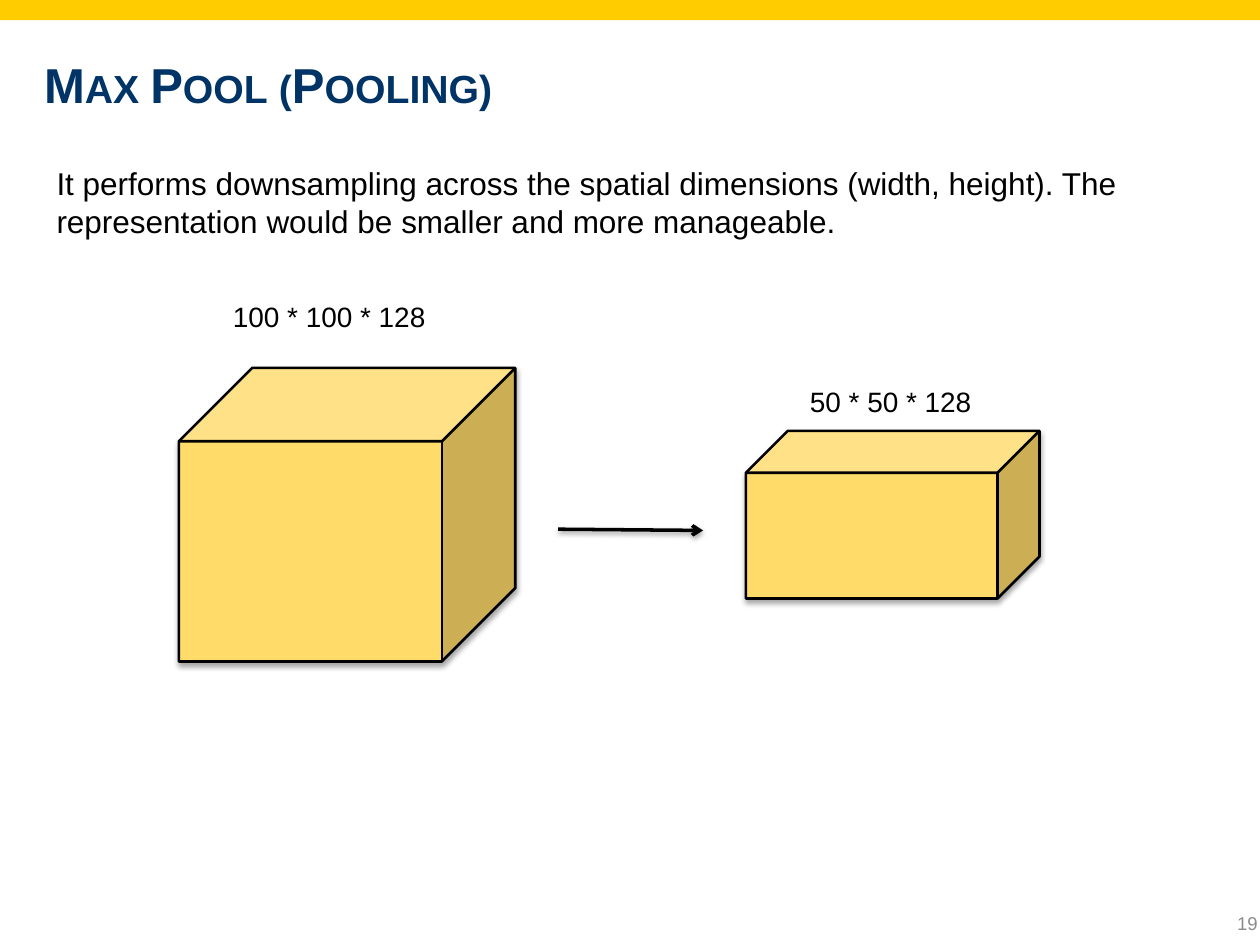
from lxml import etree
from pptx import Presentation
from pptx.dml.color import RGBColor
from pptx.enum import shapes, text
from pptx.oxml import ns
from pptx.util import Inches, Pt


def color(code):
    return RGBColor.from_string(code)


def inches(*sizes):
    return [Inches(size) for size in sizes]


class Deck:
    face = "Arial"
    ink = "000000"
    navy = "003366"
    gold = "FFCC00"
    sand = "FFDB69"
    gray = "8C8C8C"

    def __init__(self):
        self.file = Presentation()
        self.file.slide_width, self.file.slide_height = inches(10, 7.5)
        self.slide = self.file.slides.add_slide(self.file.slide_layouts[5])

    def style(self, para, size, code, bold=False, align=text.PP_ALIGN.LEFT):
        para.alignment = align
        font = para.font
        font.name, font.size, font.bold = self.face, Pt(size), bold
        font.color.rgb = color(code)

    def title(self, words, box):
        shape = self.slide.shapes.title
        shape.left, shape.top, shape.width, shape.height = inches(*box)
        frame = shape.text_frame
        frame.text = words
        frame.vertical_anchor = text.MSO_ANCHOR.MIDDLE
        para = frame.paragraphs[0]
        self.style(para, 28, self.navy, True)
        para.runs[0]._r.get_or_add_rPr().set("cap", "small")

    def label(self, words, box, size, code=ink, wrap=True, align=text.PP_ALIGN.LEFT):
        frame = self.slide.shapes.add_textbox(*inches(*box)).text_frame
        frame.text = words
        frame.word_wrap = wrap
        self.style(frame.paragraphs[0], size, code, align=align)

    def solid(self, kind, box, fill):
        shape = self.slide.shapes.add_shape(kind, *inches(*box))
        shape.shadow.inherit = False
        shape.fill.solid()
        shape.fill.fore_color.rgb = color(fill)
        return shape

    def band(self, box):
        shape = self.solid(shapes.MSO_SHAPE.RECTANGLE, box, self.gold)
        shape.line.fill.background()

    def cube(self, box):
        shape = self.solid(shapes.MSO_SHAPE.CUBE, box, self.sand)
        shape.line.color.rgb = color(self.ink)
        shape.line.width = Pt(1.5)
        self.shade(shape, 35, 1.8)

    def arrow(self, start, end):
        line = self.slide.shapes.add_connector(
            shapes.MSO_CONNECTOR.STRAIGHT, *inches(*start, *end))
        line.line.color.rgb = color(self.ink)
        line.line.width = Pt(2)
        etree.SubElement(line.line._get_or_add_ln(), ns.qn("a:tailEnd"), type="arrow")
        self.shade(line, 38, 1.6)

    def shade(self, shape, alpha, drop):
        props = shape._element.spPr
        effects = props.find(ns.qn("a:effectLst"))
        if effects is None:
            effects = etree.SubElement(props, ns.qn("a:effectLst"))
        outer = etree.SubElement(
            effects, ns.qn("a:outerShdw"), blurRad=str(Pt(3.1)),
            dist=str(Pt(drop)), dir="5400000", rotWithShape="0")
        tint = etree.SubElement(outer, ns.qn("a:srgbClr"), val=self.ink)
        etree.SubElement(tint, ns.qn("a:alpha"), val=str(alpha * 1000))


def main():
    deck = Deck()
    deck.band((0, 0, 10, 0.16))
    deck.title("Max Pool (Pooling)", (0.25, 0.25, 8.5, 0.83))
    deck.label("19", (7.83, 7.19, 2.25, 0.4), 10.6, deck.gray,
               align=text.PP_ALIGN.RIGHT)
    deck.cube((1.42, 2.92, 2.67, 2.33))
    deck.cube((5.92, 3.42, 2.33, 1.33))
    deck.arrow((4.43, 4.2), (5.58, 4.21))
    deck.label("It performs downsampling across the spatial dimensions "
               "(width, height). The representation would be smaller and "
               "more manageable.", (0.35, 1.25, 9.15, 0.71), 18)
    deck.label("100 * 100 * 128", (1.75, 2.33, 1.81, 0.37), 16, wrap=False)
    deck.label("50 * 50 * 128", (6.33, 3, 1.56, 0.37), 16, wrap=False)
    deck.file.save("out.pptx")


if __name__ == "__main__":
    main()
